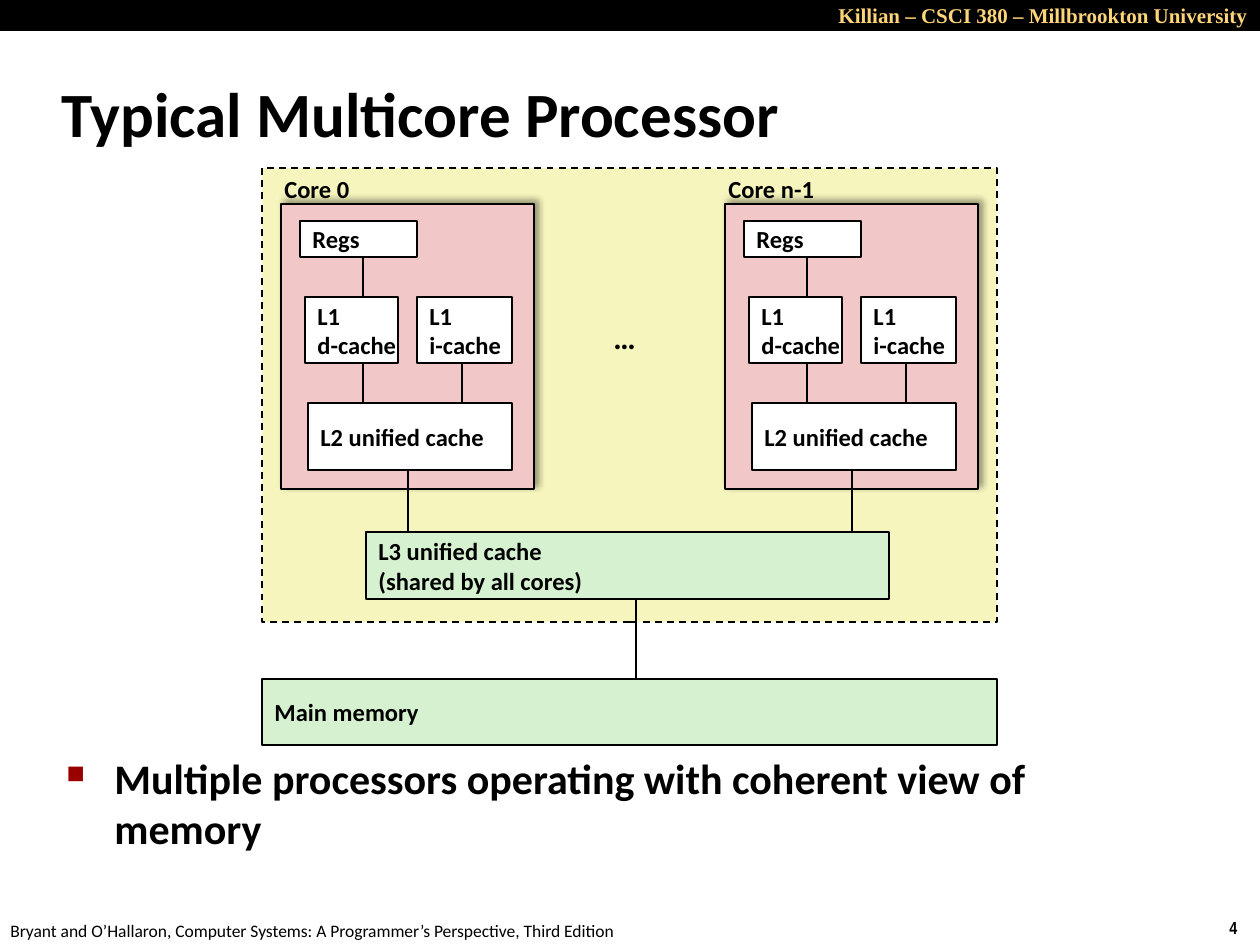
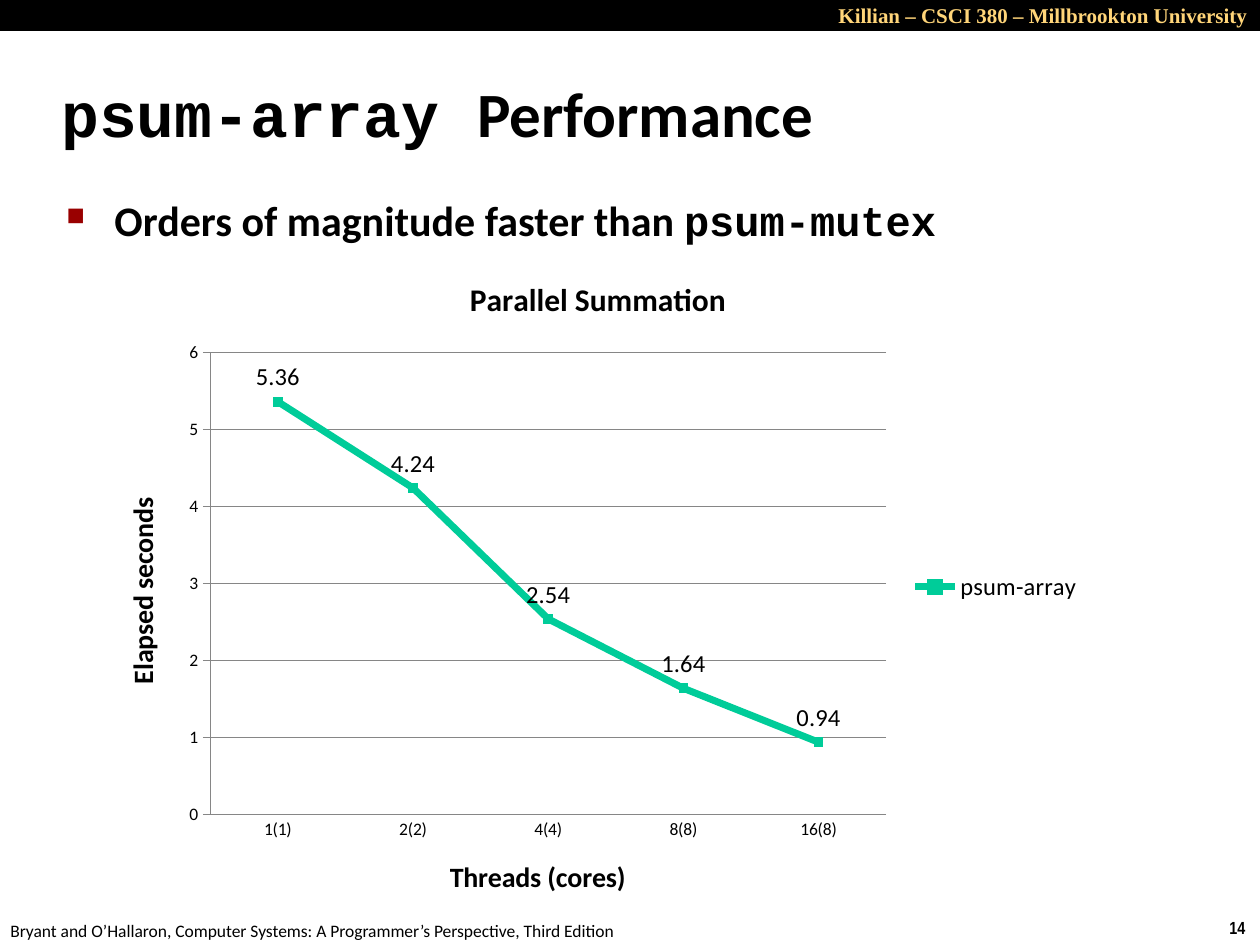
from lxml import etree
from pptx import Presentation
from pptx.chart.data import CategoryChartData
from pptx.dml.color import RGBColor
from pptx.enum.chart import XL_CHART_TYPE, XL_LABEL_POSITION, XL_LEGEND_POSITION, XL_MARKER_STYLE, XL_TICK_MARK
from pptx.enum.dml import MSO_LINE
from pptx.enum.shapes import MSO_CONNECTOR, MSO_SHAPE
from pptx.enum.text import MSO_ANCHOR, MSO_AUTO_SIZE, PP_ALIGN
from pptx.oxml import parse_xml
from pptx.oxml.ns import nsdecls, qn
from pptx.util import Pt

LINE_MARKERS = XL_CHART_TYPE.LINE_MARKERS
ABOVE = XL_LABEL_POSITION.ABOVE
LEGEND_RIGHT = XL_LEGEND_POSITION.RIGHT
SQUARE = XL_MARKER_STYLE.SQUARE
TICK_NONE, TICK_OUT = XL_TICK_MARK.NONE, XL_TICK_MARK.OUTSIDE
DASH = MSO_LINE.DASH
STRAIGHT = MSO_CONNECTOR.STRAIGHT
RECT = MSO_SHAPE.RECTANGLE
TOP, MIDDLE = MSO_ANCHOR.TOP, MSO_ANCHOR.MIDDLE
GROW = MSO_AUTO_SIZE.SHAPE_TO_FIT_TEXT
LEFT, RIGHT = PP_ALIGN.LEFT, PP_ALIGN.RIGHT

EMU_PER_PX = 914400 / 126
WIDTH, HEIGHT = 1260, 945
SANS, NARROW, MONO, SERIF = "Calibri", "Arial Narrow", "Courier New", "Times New Roman"
COLORS = {
    "black": "000000", "white": "FFFFFF", "gold": "FFD579", "bullet": "990000",
    "chip": "F6F5BD", "core": "F1C7C7", "memory": "D5F1CF",
    "series": "00CC99", "grid": "868686",
}

# Shared text
COURSE = "Killian – CSCI 380 – Millbrookton University"
BOOK = "Bryant and O’Hallaron, Computer Systems: A Programmer’s Perspective, Third Edition"

# Multicore slide: a run is (text, font), a box is (left, top, width, height)
MULTICORE_TITLE = [("Typical Multicore Processor", SANS)]
MULTICORE_POINT = [("Multiple processors operating with coherent view of memory", SANS)]
CHIP_BOX = (262, 168, 735, 454)
CORE_BOX = (281, 204, 253, 285)
CORE_LABELS = [("Core 0", (272, 168, 91, 43)), ("Core n-1", (272, 168, 114, 43))]
CORE_STEP = 444
CORE_PARTS = [
    (["Regs"], (300, 221, 117, 36)),
    (["L1", "d-cache"], (305, 297, 93, 66)),
    (["L1", "i-cache"], (417, 297, 95, 66)),
    (["L2 unified cache"], (308, 403, 204, 67)),
]
CORE_WIRES = [(363, 257, 297), (363, 363, 403), (462, 363, 403), (408, 470, 532)]
SHARED_MEMORY = [
    (["L3 unified cache", "(shared by all cores)"], (366, 532, 523, 67)),
    (["Main memory"], (262, 679, 735, 66)),
]
MEMORY_WIRE = (636, 599, 679)
ELLIPSIS_BOX = (601, 312, 48, 50)

# Performance slide
PERFORMANCE_TITLE = [("psum-array ", MONO), ("Performance", SANS)]
PERFORMANCE_POINT = [("Orders of magnitude faster than ", SANS), ("psum-mutex", MONO)]
CHART_BOX = (101, 252, 994, 670)
CHART_TITLE = "Parallel Summation"
CATEGORY_TITLE, VALUE_TITLE = "Threads (cores)", "Elapsed seconds"
SERIES_NAME = "psum-array"
SECONDS = {"1(1)": 5.36, "2(2)": 4.24, "4(4)": 2.54, "8(8)": 1.64, "16(8)": 0.94}
PLOT_LAYOUT = {"x": 0.11, "y": 0.15, "w": 0.68, "h": 0.69}


def emu(*lengths):
    return [round(n * EMU_PER_PX) for n in lengths]


def rgb(name):
    return RGBColor.from_string(COLORS[name])


def set_font(font, size, bold=False, color="black", name=SANS):
    font.size, font.bold, font.name = Pt(size), bold, name
    font.color.rgb = rgb(color)


def write(sp, paragraphs, size=14, bold=True, color="black", align=LEFT,
          anchor=MIDDLE, wrap=True, grow=False):
    """Fill sp with paragraphs; each is a string or a list of (text, font) runs."""
    tf = sp.text_frame
    tf.word_wrap, tf.vertical_anchor = wrap, anchor
    if grow:
        tf.auto_size = GROW
    for i, runs in enumerate(paragraphs):
        p = tf.add_paragraph() if i else tf.paragraphs[0]
        p.alignment = align
        for text, name in [(runs, SANS)] if isinstance(runs, str) else runs:
            r = p.add_run()
            r.text = text
            set_font(r.font, size, bold, color, name)
    return tf


def add_text(slide, box, paragraphs, **fmt):
    return write(slide.shapes.add_textbox(*emu(*box)), paragraphs, **fmt)


def add_box(slide, box, fill, outlined=True):
    sp = slide.shapes.add_shape(RECT, *emu(*box))
    sp.shadow.inherit = False
    sp.fill.solid()
    sp.fill.fore_color.rgb = rgb(fill)
    if outlined:
        sp.line.color.rgb, sp.line.width = rgb("black"), Pt(1)
    else:
        sp.line.fill.background()
    return sp


def add_wire(slide, x, top, bottom):
    line = slide.shapes.add_connector(STRAIGHT, *emu(x, top, x, bottom))
    line.line.color.rgb, line.line.width = rgb("black"), Pt(1)
    etree.SubElement(line._element.spPr, qn("a:effectLst"))


def cast_shadow(sp):
    effects = sp._element.spPr.find(qn("a:effectLst"))
    effects.append(parse_xml(
        f'<a:outerShdw {nsdecls("a")} blurRad="{Pt(4)}" dist="{Pt(3)}" dir="{315 * 60000}" '
        f'algn="ctr" rotWithShape="0"><a:srgbClr val="{COLORS["black"]}">'
        '<a:alpha val="40000"/></a:srgbClr></a:outerShdw>'))


def add_bullet(slide, box, runs):
    p = add_text(slide, box, [runs], size=24, anchor=TOP).paragraphs[0]
    p.space_before = Pt(5)
    pPr = p._p.get_or_add_pPr()
    indent, = emu(48)
    pPr.set("marL", str(indent))
    pPr.set("indent", str(-indent))
    for xml in (f'<a:buClr {nsdecls("a")}><a:srgbClr val="{COLORS["bullet"]}"/></a:buClr>',
                f'<a:buSzPct {nsdecls("a")} val="60000"/>',
                f'<a:buChar {nsdecls("a")} char="■"/>'):
        pPr.append(parse_xml(xml))


def new_slide(prs, title, number):
    """Add a slide with the course band, footer, page number and title."""
    slide = prs.slides.add_slide(prs.slide_layouts[6])
    add_text(slide, (1217, 911, 43, 34), [[(str(number), NARROW)]], size=10,
             anchor=TOP, wrap=False, grow=True)
    add_text(slide, (-2, 914, 640, 34), [BOOK], size=10, bold=False,
             anchor=TOP, wrap=False, grow=True)
    add_box(slide, (0, 0, WIDTH, 31), "black", outlined=False)
    add_text(slide, (567, -4, 693, 38), [[(COURSE, SERIF)]], size=12, color="gold",
             align=RIGHT, anchor=TOP, grow=True)
    add_text(slide, (49, 60, 1046, 105), [title], size=36)
    return slide


def add_core(slide, label, label_box, dx):
    def shift(box):
        return (box[0] + dx, *box[1:])

    cast_shadow(add_box(slide, shift(CORE_BOX), "core"))
    for lines, box in CORE_PARTS:
        write(add_box(slide, shift(box), "white"), lines, wrap=False)
    for wire in CORE_WIRES:
        add_wire(slide, *shift(wire))
    add_text(slide, shift(label_box), [label], anchor=TOP, wrap=False, grow=True)


def build_multicore(prs):
    slide = new_slide(prs, MULTICORE_TITLE, 4)
    add_bullet(slide, (54, 746, 1089, 127), MULTICORE_POINT)
    add_box(slide, CHIP_BOX, "chip").line.dash_style = DASH
    for i, (label, label_box) in enumerate(CORE_LABELS):
        add_core(slide, label, label_box, i * CORE_STEP)
    add_text(slide, ELLIPSIS_BOX, ["…"], size=18, anchor=TOP, wrap=False, grow=True)
    for lines, box in SHARED_MEMORY:
        write(add_box(slide, box, "memory"), lines)
    add_wire(slide, *MEMORY_WIRE)


def set_title(owner, text, size):
    """Title a chart or an axis."""
    tf = (owner.chart_title if hasattr(owner, "chart_title") else owner.axis_title).text_frame
    r = tf.paragraphs[0].add_run()
    r.text = text
    set_font(r.font, size, bold=True)


def place_plot(chart):
    plot_area = chart._chartSpace.chart.plotArea
    for old in plot_area.findall(qn("c:layout")):
        plot_area.remove(old)
    places = "".join(f'<c:{k} val="{v}"/>' for k, v in PLOT_LAYOUT.items())
    plot_area.insert(0, parse_xml(
        f'<c:layout {nsdecls("c")}><c:manualLayout><c:layoutTarget val="inner"/>'
        f'<c:xMode val="edge"/><c:yMode val="edge"/>{places}</c:manualLayout></c:layout>'))


def style_series(series):
    series.smooth = False
    series.format.line.color.rgb, series.format.line.width = rgb("series"), Pt(4)
    marker = series.marker
    marker.style, marker.size = SQUARE, 5
    marker.format.fill.solid()
    marker.format.fill.fore_color.rgb = rgb("series")
    marker.format.line.color.rgb = rgb("series")
    labels = series.data_labels
    labels.show_value, labels.position = True, ABOVE
    set_font(labels.font, 14)


def build_performance(prs):
    slide = new_slide(prs, PERFORMANCE_TITLE, 14)
    add_bullet(slide, (54, 188, 1089, 106), PERFORMANCE_POINT)
    data = CategoryChartData()
    data.categories = list(SECONDS)
    data.add_series(SERIES_NAME, list(SECONDS.values()))
    chart = slide.shapes.add_chart(LINE_MARKERS, *emu(*CHART_BOX), data).chart
    set_font(chart.font, 10)
    set_title(chart, CHART_TITLE, 18)
    chart.has_legend = True
    chart.legend.position, chart.legend.include_in_layout = LEGEND_RIGHT, False
    set_font(chart.legend.font, 14)
    cat, val = chart.category_axis, chart.value_axis
    for axis, title, tick in ((cat, CATEGORY_TITLE, TICK_NONE), (val, VALUE_TITLE, TICK_OUT)):
        set_title(axis, title, 16)
        axis.major_tick_mark, axis.minor_tick_mark = tick, TICK_NONE
        axis.format.line.color.rgb = rgb("grid")
    val.minimum_scale, val.maximum_scale, val.major_unit = 0, 6, 1
    val.has_major_gridlines = True
    val.major_gridlines.format.line.color.rgb = rgb("grid")
    chart.plots[0].vary_by_categories = False
    style_series(chart.plots[0].series[0])
    place_plot(chart)


def main():
    prs = Presentation()
    prs.slide_width, prs.slide_height = emu(WIDTH, HEIGHT)
    build_multicore(prs)
    build_performance(prs)
    prs.save("out.pptx")


if __name__ == "__main__":
    main()
